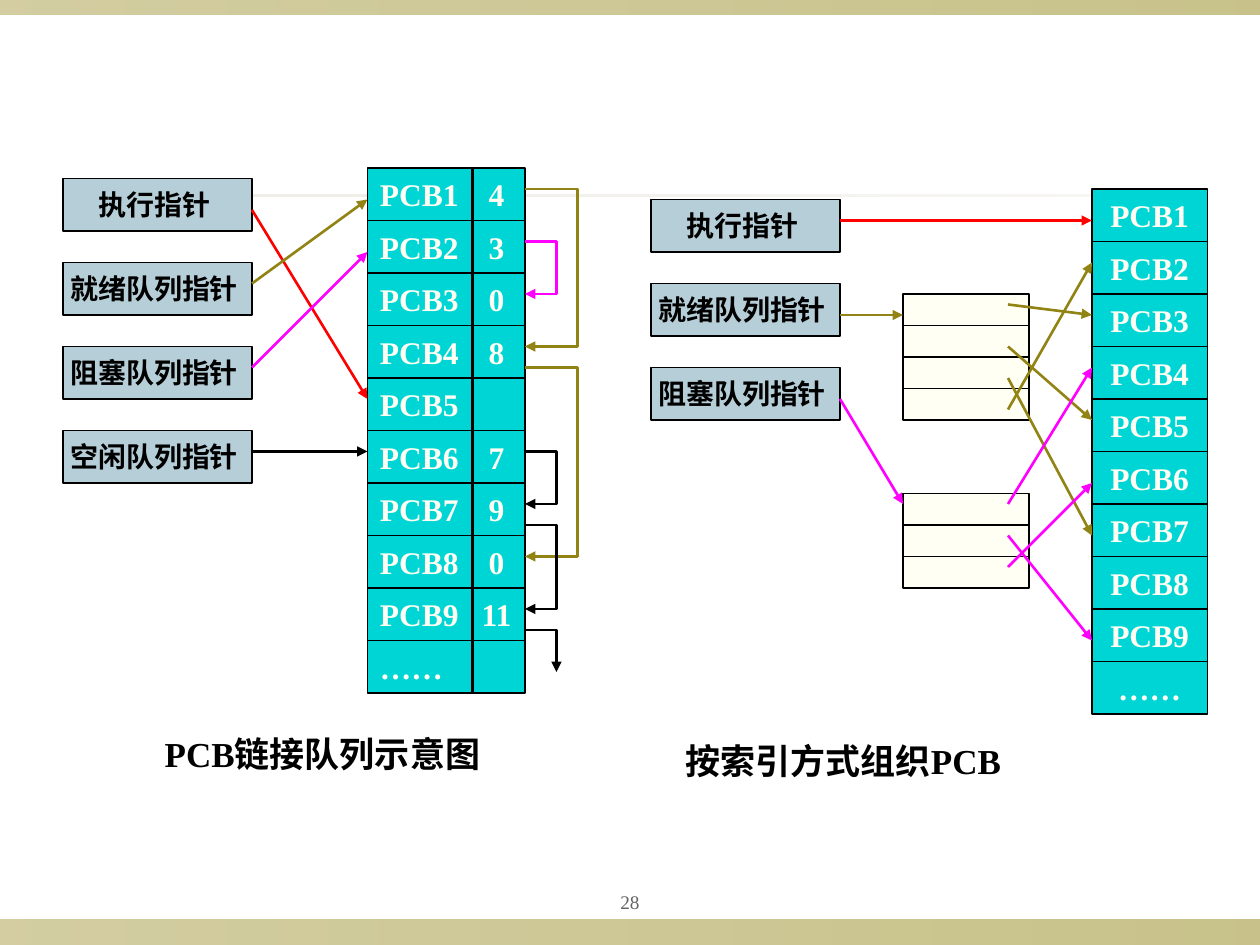
from pptx import Presentation
from pptx.dml.color import RGBColor
from pptx.enum.shapes import MSO_CONNECTOR, MSO_SHAPE
from pptx.enum.text import MSO_ANCHOR, PP_ALIGN
from pptx.oxml.ns import qn
from pptx.util import Pt
from lxml.etree import SubElement

PX = 7620  # 120 px to the inch
RECT = MSO_SHAPE.RECTANGLE
LINE = MSO_CONNECTOR.STRAIGHT
LEFT, CENTER = PP_ALIGN.LEFT, PP_ALIGN.CENTER
TOP, MIDDLE = MSO_ANCHOR.TOP, MSO_ANCHOR.MIDDLE
FONT = "Times New Roman"
COLORS = {
    "black": "000000", "red": "FF0000", "olive": "918415", "pink": "FF00FF",
    "steel": "B6CED7", "cyan": "00D5D5", "cream": "FFFFF4",
    "sand": "DCD9CC", "gray": "636363",
}
POINTERS = ["执行指针 ", "就绪队列指针 ", "阻塞队列指针 ", "空闲队列指针 "]
BLOCKS = [f"PCB{n}" for n in range(1, 10)] + ["……"]
NEXT = ["4", "3", "0", "8", "", "7", "9", "0", "11", ""]
ROW = 50


def rgb(name):
    return RGBColor.from_string(COLORS[name])


def emu(*sizes):
    return [size * PX for size in sizes]


def write(frame, text, size, color, bold=True, align=CENTER, anchor=MIDDLE):
    frame.word_wrap = False
    frame.vertical_anchor = anchor
    para = frame.paragraphs[0]
    para.alignment = align
    run = para.add_run()
    run.text = text
    run.font.name = FONT
    run.font.size = Pt(size)
    run.font.bold = bold
    run.font.color.rgb = rgb(color)
    return para


def add_box(slide, x, y, w, h, fill):
    box = slide.shapes.add_shape(RECT, *emu(x, y, w, h))
    box.shadow.inherit = False
    box.fill.solid()
    box.fill.fore_color.rgb = rgb(fill)
    box.line.color.rgb = rgb("black")
    box.line.width = Pt(0.75)
    return box


def add_band(slide, x, y, w, h, color, alphas):
    """Bar of one colour whose opacity, in percent, runs from left to right."""
    band = slide.shapes.add_shape(RECT, *emu(x, y, w, h))
    band.shadow.inherit = False
    band.line.fill.background()
    band.fill.gradient()
    band.fill.gradient_angle = 0
    for stop in band.fill.gradient_stops:
        stop.color.rgb = rgb(color)
    tints = band.element.spPr.iter(qn("a:srgbClr"))
    for tint, alpha in zip(list(tints), alphas):
        SubElement(tint, qn("a:alpha"), val=str(alpha * 1000))


def style(shape, color, head=True):
    shape.line.color.rgb = rgb(color)
    shape.line.width = Pt(1.5)
    if head:
        SubElement(shape.line._get_or_add_ln(), qn("a:tailEnd"), type="triangle")


def add_line(slide, x, y, ends, color, head=True):
    x1, y1, x2, y2 = ends
    line = slide.shapes.add_connector(
        LINE, *emu(x + x1, y + y1, x + x2, y + y2))
    style(line, color, head)
    SubElement(line.element.spPr, qn("a:effectLst"))


def add_link(slide, x, y, reach, drop, color, back=True):
    """Elbow that goes right and down, then back to its first edge."""
    points = [(x + reach, y), (x + reach, y + drop)]
    if back:
        points.append((x, y + drop))
    pen = slide.shapes.build_freeform(x, y, scale=PX)
    pen.add_line_segments(points, close=False)
    link = pen.convert_to_shape()
    link.shadow.inherit = False
    link.fill.background()
    style(link, color)


def add_pointers(slide, x, y, names):
    for i, name in enumerate(names):
        box = add_box(slide, x, y + i * 80, 180, ROW, "steel")
        write(box.text_frame, name, 16, "black")


def add_blocks(slide, x, y, w, links=None):
    """Column of PCB rows, with a second field when links are given."""
    for i, name in enumerate(BLOCKS):
        frame = add_box(slide, x, y + i * ROW, w, ROW, "cyan").text_frame
        link = links[i] if links else ""
        text = f"{name}\t{link}" if link else name
        para = write(frame, text, 18, "cream", align=LEFT if links else CENTER)
        if link:
            frame.word_wrap = True
            tabs = SubElement(para._p.get_or_add_pPr(), qn("a:tabLst"))
            SubElement(tabs, qn("a:tab"), pos=str(111 * PX), algn="ctr")


def add_index(slide, x, y, rows):
    for i in range(rows):
        add_box(slide, x, y + i * 30, 120, 30, "cream")


def add_text(slide, x, y, w, h, text, *look, **more):
    box = slide.shapes.add_textbox(*emu(x, y, w, h))
    write(box.text_frame, text, *look, **more)
    return box.text_frame


def add_caption(slide, x, y, text):
    add_text(slide, x, y, 332, 53, text, 20, "black", align=LEFT, anchor=TOP)


def add_chain(slide, x, y):
    """Linked queues: each PCB row names the next one."""
    add_pointers(slide, x, y + 10, POINTERS)
    add_blocks(slide, x + 290, y, 150, NEXT)
    add_line(slide, x, y, (390, 0, 390, 500), "black", head=False)
    for start, end, color in [(40, 220, "red"), (110, 30, "olive"),
                              (190, 80, "pink"), (270, 270, "black")]:
        add_line(slide, x, y, (180, start, 290, end), color)
    for top, reach, drop, color in [
            (20, 50, 150, "olive"), (70, 30, 50, "pink"),
            (190, 50, 180, "olive"), (270, 30, 50, "black"),
            (340, 30, 80, "black")]:
        add_link(slide, x + 440, y + top, reach, drop, color)
    add_link(slide, x + 440, y + 440, 30, 40, "black", back=False)
    add_caption(slide, x + 85, y + 532, "PCB链接队列示意图")


def add_indexed(slide, x, y):
    """Index tables that point at the PCB rows of each queue."""
    add_blocks(slide, x + 420, y, 110)
    add_pointers(slide, x, y + 10, POINTERS[:3])
    add_index(slide, x + 240, y + 100, 4)
    add_index(slide, x + 240, y + 290, 3)
    for ends, color in [((180, 30, 420, 30), "red"),
                        ((180, 120, 240, 120), "olive"),
                        ((180, 200, 240, 300), "pink")]:
        add_line(slide, x, y, ends, color)
    targets = {
        "olive": [(110, 120), (150, 220), (180, 330), (210, 70)],
        "pink": [(300, 170), (360, 280), (330, 430)],
    }
    for color, pairs in targets.items():
        for start, end in pairs:
            add_line(slide, x, y, (340, start, 420, end), color)
    add_caption(slide, x + 21, y + 518, "按索引方式组织PCB")


def add_frame(slide, w, h):
    """Bands at the edges, the title rule and the page number."""
    add_band(slide, 0, h - 24, w, 24, "olive", (40, 50))
    add_band(slide, 0, 0, w, 14, "olive", (40, 50))
    add_band(slide, 60, 185, w - 120, 2, "sand", (50, 20))
    add_text(slide, w // 2 - 60, h - 60, 120, 37, "28", 11, "gray", bold=False)


def main():
    deck = Presentation()
    deck.slide_width, deck.slide_height = emu(1200, 900)
    slide = deck.slides.add_slide(deck.slide_layouts[6])
    add_frame(slide, 1200, 900)
    add_chain(slide, 60, 160)
    add_indexed(slide, 620, 180)
    deck.save("out.pptx")


if __name__ == "__main__":
    main()
